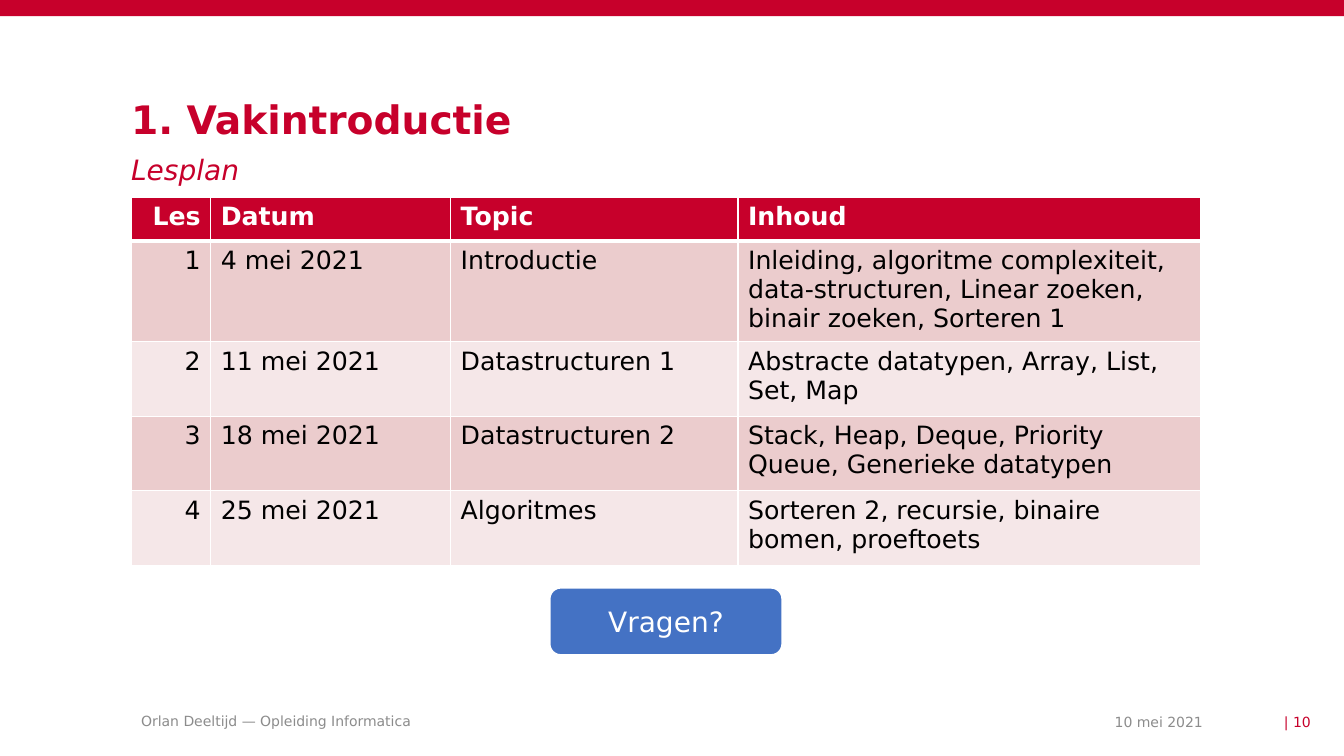
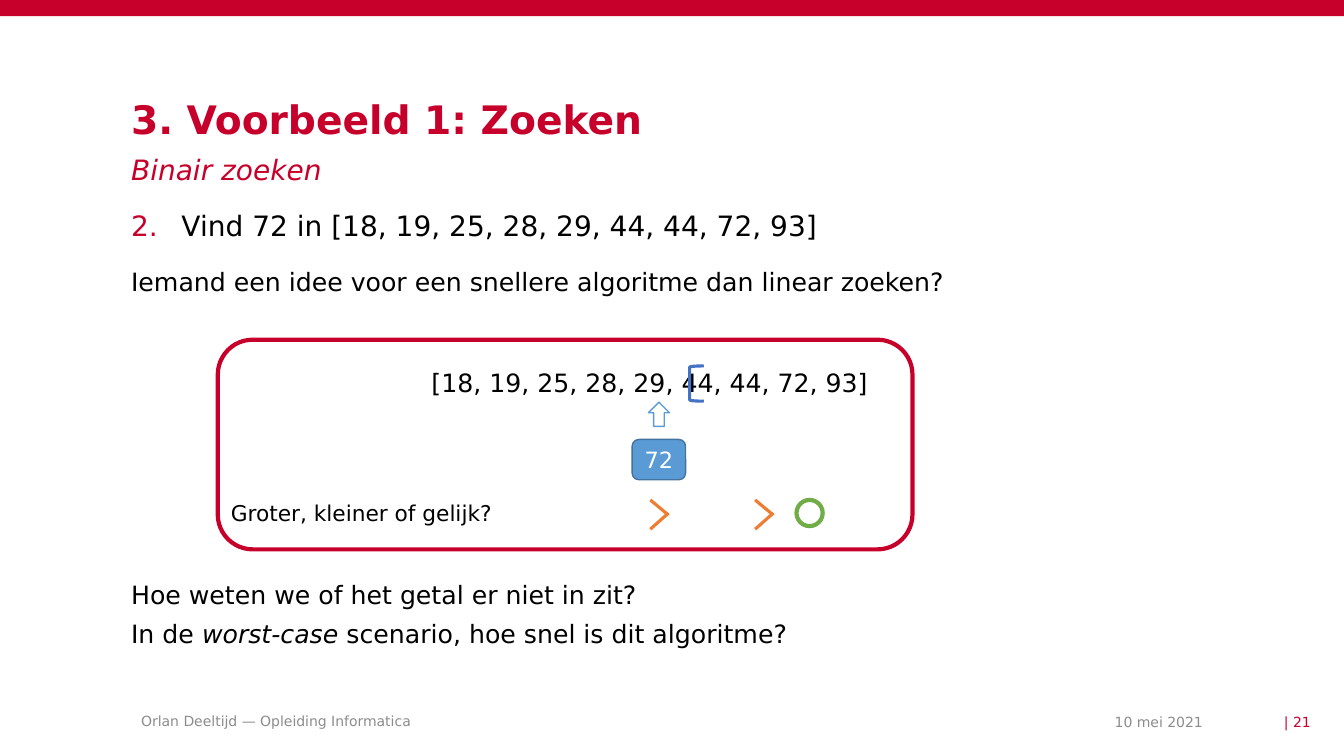
import lxml.etree
import pptx
import pptx.dml.color
import pptx.enum.shapes
import pptx.enum.text
import pptx.oxml.ns
import pptx.util

RED = pptx.dml.color.RGBColor(0xC7, 0x00, 0x2B)
WHITE = pptx.dml.color.RGBColor(0xFF, 0xFF, 0xFF)
BLACK = pptx.dml.color.RGBColor(0x00, 0x00, 0x00)
GREY = pptx.dml.color.RGBColor(0x8C, 0x8C, 0x8C)
ROSE = pptx.dml.color.RGBColor(0xEB, 0xCC, 0xCD)
PALE_ROSE = pptx.dml.color.RGBColor(0xF5, 0xE7, 0xE8)
BLUE = pptx.dml.color.RGBColor(0x44, 0x72, 0xC4)
LIGHT_BLUE = pptx.dml.color.RGBColor(0x5B, 0x9B, 0xD5)
DARK_BLUE = pptx.dml.color.RGBColor(0x43, 0x73, 0x9E)
GREEN = pptx.dml.color.RGBColor(0x70, 0xAD, 0x47)
ORANGE = pptx.dml.color.RGBColor(0xED, 0x7D, 0x31)

FONT = "DejaVu Sans"
LEFT = 1.3
SHAPE = pptx.enum.shapes.MSO_SHAPE
ALIGN = pptx.enum.text.PP_ALIGN
ANCHOR = pptx.enum.text.MSO_ANCHOR
qn = pptx.oxml.ns.qn


def add_shape(page, kind, at, fill=None, line=None, width=1):
    """Add a preset shape, or a text box without insets when kind is None."""
    place = [pptx.util.Inches(length) for length in at]
    if kind is None:
        box = page.shapes.add_textbox(*place)
        frame = box.text_frame
        frame.word_wrap = True
        frame.margin_left = frame.margin_right = 0
        frame.margin_top = frame.margin_bottom = 0
        return box
    shape = page.shapes.add_shape(kind, *place)
    shape.shadow.inherit = False
    if fill is None:
        shape.fill.background()
    else:
        shape.fill.solid()
        shape.fill.fore_color.rgb = fill
    if line is None:
        shape.line.fill.background()
    else:
        shape.line.color.rgb = line
        shape.line.width = pptx.util.Pt(width)
    return shape


def write(holder, runs, size, color=BLACK, align=ALIGN.LEFT, bold=False, new=False):
    """Write (text, italic) runs in the last paragraph, or in a new one."""
    frame = holder.text_frame
    para = frame.add_paragraph() if new else frame.paragraphs[-1]
    para.alignment = align
    for text, italic in runs:
        span = para.add_run()
        span.text = text
        span.font.name = FONT
        span.font.size = pptx.util.Pt(size)
        span.font.color.rgb = color
        span.font.bold = bold
        span.font.italic = italic
    return para


deck = pptx.Presentation()
deck.slide_width = pptx.util.Inches(13.33)
deck.slide_height = pptx.util.Inches(7.5)

# Shared parts: band, title, subtitle and footer
headings = [
    ("1. Vakintroductie", "Lesplan", 10),
    ("3. Voorbeeld 1: Zoeken", "Binair zoeken", 21),
]
pages = []
for title, subtitle, number in headings:
    page = deck.slides.add_slide(deck.slide_layouts[6])
    pages.append(page)
    add_shape(page, SHAPE.RECTANGLE, (0, 0, 13.33, 0.16), RED)
    box = add_shape(page, None, (LEFT, 1, 8.46, 0.39))
    write(box, [(title, False)], 28, RED, bold=True).line_spacing = 0.9
    box = add_shape(page, None, (LEFT, 1.51, 8.46, 0.39))
    write(box, [(subtitle, True)], 20, RED)
    footers = [
        ("Orlan Deeltijd — Opleiding Informatica", (1.4, 7.03, 6.5, 0.24), GREY, ALIGN.LEFT),
        ("10 mei 2021", (8.93, 7.04, 3, 0.24), GREY, ALIGN.RIGHT),
        (f"| {number}", (12.11, 7.04, 0.89, 0.24), RED, ALIGN.RIGHT),
    ]
    for text, at, color, align in footers:
        box = add_shape(page, None, at)
        box.text_frame.vertical_anchor = ANCHOR.MIDDLE
        write(box, [(text, False)], 10, color, align)
plan_page, search_page = pages

# Lesson plan table
lessons = [
    ("Les", "Datum", "Topic", "Inhoud"),
    ("1", "4 mei 2021", "Introductie",
     "Inleiding, algoritme complexiteit, data-structuren, Linear zoeken, "
     "binair zoeken, Sorteren 1"),
    ("2", "11 mei 2021", "Datastructuren 1",
     "Abstracte datatypen, Array, List, Set, Map"),
    ("3", "18 mei 2021", "Datastructuren 2",
     "Stack, Heap, Deque, Priority Queue, Generieke datatypen"),
    ("4", "25 mei 2021", "Algoritmes",
     "Sorteren 2, recursie, binaire bomen, proeftoets"),
]
column_widths = [0.79, 2.38, 2.85, 4.59]
row_heights = [0.43, 0.97, 0.74, 0.74, 0.74]
table = plan_page.shapes.add_table(
    len(lessons), len(column_widths), pptx.util.Inches(LEFT), pptx.util.Inches(1.96),
    pptx.util.Inches(sum(column_widths)), pptx.util.Inches(sum(row_heights))).table
for column, width in zip(table.columns, column_widths):
    column.width = pptx.util.Inches(width)
for row_index, lesson in enumerate(lessons):
    table.rows[row_index].height = pptx.util.Inches(row_heights[row_index])
    header = row_index == 0
    for column_index, text in enumerate(lesson):
        cell = table.cell(row_index, column_index)
        cell.fill.solid()
        cell.fill.fore_color.rgb = RED if header else (PALE_ROSE, ROSE)[row_index % 2]
        write(cell, [(text, False)], 18, WHITE if header else BLACK,
              ALIGN.LEFT if column_index else ALIGN.RIGHT, bold=header)
        # White borders, thicker under the header
        properties = cell._tc.get_or_add_tcPr()
        for order, side in enumerate(("lnL", "lnR", "lnT", "lnB")):
            thick = (row_index, side) in ((0, "lnB"), (1, "lnT"))
            border = lxml.etree.Element(
                qn(f"a:{side}"), w=str(pptx.util.Pt(3 if thick else 1)))
            paint = lxml.etree.SubElement(border, qn("a:solidFill"))
            lxml.etree.SubElement(paint, qn("a:srgbClr"), val=str(WHITE))
            properties.insert(order, border)

# Questions button
button = add_shape(plan_page, SHAPE.ROUNDED_RECTANGLE, (5.45, 5.83, 2.31, 0.67),
                   BLUE, WHITE, 1.5)
write(button, [("Vragen?", False)], 20, WHITE, ALIGN.CENTER)

# Numbered task
box = add_shape(search_page, None, (LEFT, 2.07, 10.63, 0.39))
para = write(box, [("Vind 72 in [18, 19, 25, 28, 29, 44, 44, 72, 93]", False)], 20)
properties = para._p.get_or_add_pPr()
properties.set("marL", str(pptx.util.Inches(0.5)))
properties.set("indent", str(pptx.util.Inches(-0.5)))
paint = lxml.etree.SubElement(properties, qn("a:buClr"))
lxml.etree.SubElement(paint, qn("a:srgbClr"), val=str(RED))
lxml.etree.SubElement(properties, qn("a:buAutoNum"), type="arabicPeriod", startAt="2")

# Frame around the search example
add_shape(search_page, SHAPE.ROUNDED_RECTANGLE, (2.16, 3.37, 6.89, 2.08), WHITE, RED, 3)

# Searched value with its pointer
value = add_shape(search_page, SHAPE.ROUNDED_RECTANGLE, (6.27, 4.36, 0.53, 0.4),
                  LIGHT_BLUE, DARK_BLUE)
value.text_frame.margin_left = value.text_frame.margin_right = 0
write(value, [("72", False)], 16, WHITE, ALIGN.CENTER)
pointer = add_shape(search_page, SHAPE.DOWN_ARROW, (6.43, 3.99, 0.21, 0.24),
                    WHITE, LIGHT_BLUE)
pointer.rotation = 180

# Single lines of text
lines = [
    ("[18, 19, 25, 28, 29, 44, 44, 72, 93]", (4.28, 3.64, 4.6, 0.3), 18),
    ("Groter, kleiner of gelijk?", (2.29, 4.96, 3.2, 0.26), 15.5),
    ("Iemand een idee voor een snellere algoritme dan linear zoeken?",
     (LEFT, 2.64, 10.48, 0.41), 18),
]
for text, at, size in lines:
    write(add_shape(search_page, None, at), [(text, False)], size)

# Start of the remaining range, and the match
bracket = add_shape(search_page, SHAPE.RIGHT_BRACKET, (6.84, 3.63, 0.14, 0.35),
                    line=BLUE, width=2.25)
bracket.rotation = 180
add_shape(search_page, SHAPE.OVAL, (7.9, 4.96, 0.26, 0.26), line=GREEN, width=3)

# Greater-than signs
for left in (6.45, 7.49):
    for outer, tip in ((4.96, 5.11), (5.25, 5.09)):
        stroke = search_page.shapes.add_connector(
            pptx.enum.shapes.MSO_CONNECTOR.STRAIGHT,
            pptx.util.Inches(left), pptx.util.Inches(outer),
            pptx.util.Inches(left + 0.18), pptx.util.Inches(tip))
        stroke.line.color.rgb = ORANGE
        stroke.line.width = pptx.util.Pt(2.25)
        lxml.etree.SubElement(stroke._element.spPr, qn("a:effectLst"))

# Closing questions
box = add_shape(search_page, None, (LEFT, 5.75, 10.48, 0.8))
para = write(box, [("Hoe weten we of het getal er niet in zit?", False)], 18)
para.space_after = pptx.util.Pt(6)
write(box, [("In de ", False), ("worst-case ", True),
            ("scenario, hoe snel is dit algoritme?", False)], 18, new=True)

deck.save("out.pptx")
